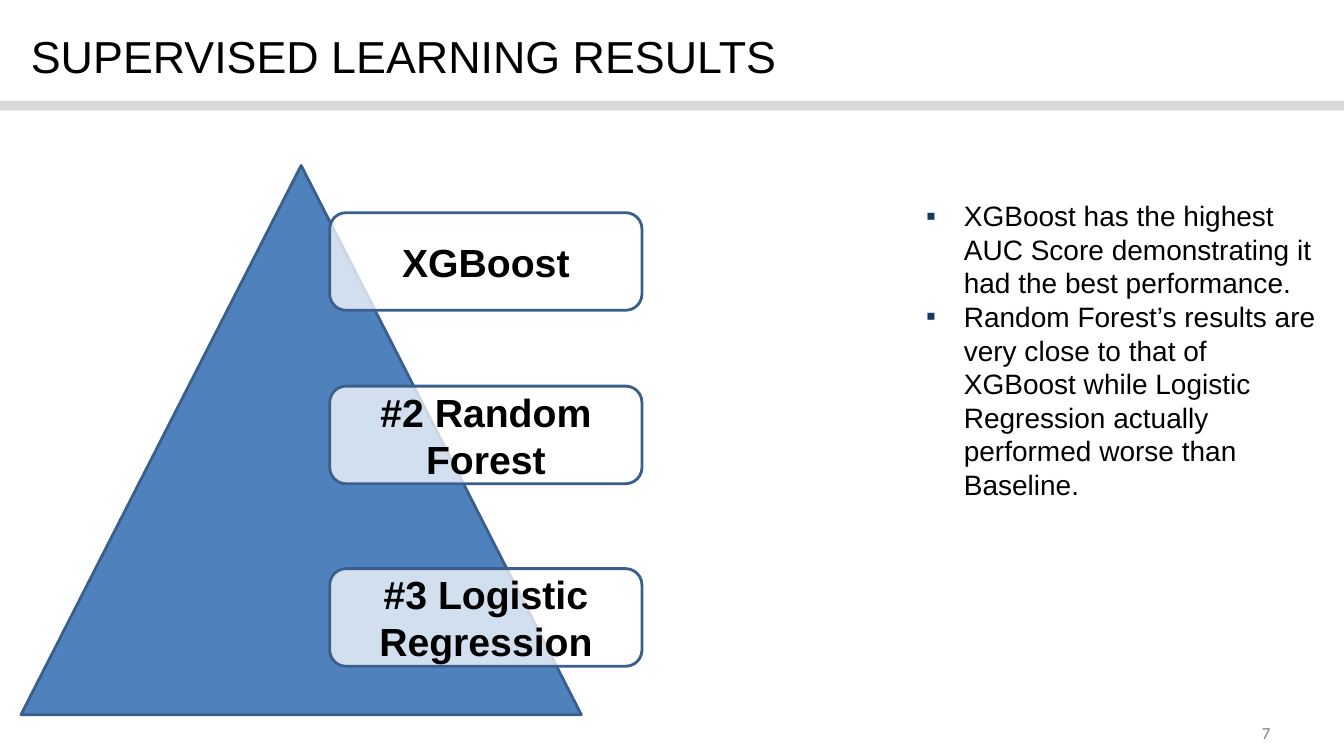
from lxml import etree
from pptx import Presentation
from pptx.dml.color import RGBColor
from pptx.enum.shapes import MSO_SHAPE
from pptx.enum.text import MSO_ANCHOR, PP_ALIGN
from pptx.oxml.ns import qn
from pptx.util import Cm, Pt

TRIANGLE = MSO_SHAPE.ISOSCELES_TRIANGLE
ROUNDED = MSO_SHAPE.ROUNDED_RECTANGLE
RECTANGLE = MSO_SHAPE.RECTANGLE
MIDDLE = MSO_ANCHOR.MIDDLE
CENTER = PP_ALIGN.CENTER

BLACK = RGBColor(0x00, 0x00, 0x00)
WHITE = RGBColor(0xFF, 0xFF, 0xFF)
BLUE = RGBColor(0x4F, 0x81, 0xBD)
EDGE_BLUE = RGBColor(0x3A, 0x5F, 0x8C)
BULLET_NAVY = RGBColor(0x17, 0x37, 0x5E)
RULE_GRAY = RGBColor(0xD9, 0xD9, 0xD9)
NUMBER_GRAY = RGBColor(0x7E, 0x7E, 0x7E)


class SlideBuilder:
    """Draws elements on one slide; all lengths are in centimetres."""

    font_name = "Arial"
    edge_width = Pt(2)

    def __init__(self, slide):
        self.slide = slide

    def style(self, paragraph, size, color=BLACK, bold=False, name=font_name):
        font = paragraph.font
        font.name, font.size, font.bold = name, Pt(size), bold
        font.color.rgb = color

    def shape(self, kind, left, top, width, height, fill, edge=None):
        shape = self.slide.shapes.add_shape(
            kind, Cm(left), Cm(top), Cm(width), Cm(height))
        shape.shadow.inherit = False
        shape.fill.solid()
        shape.fill.fore_color.rgb = fill
        if edge is None:
            shape.line.fill.background()
        else:
            shape.line.color.rgb = edge
            shape.line.width = self.edge_width
        return shape

    def rank_box(self, left, top, width, height, text):
        shape = self.shape(ROUNDED, left, top, width, height, WHITE, EDGE_BLUE)
        color = shape.fill._xPr.find(qn("a:solidFill"))[0]
        etree.SubElement(color, qn("a:alpha"), val="75000")
        frame = shape.text_frame
        frame.word_wrap = True
        frame.vertical_anchor = MIDDLE
        paragraph = frame.paragraphs[0]
        paragraph.text = text
        paragraph.alignment = CENTER
        self.style(paragraph, 28, bold=True)

    def text_frame(self, left, top, width, height):
        box = self.slide.shapes.add_textbox(
            Cm(left), Cm(top), Cm(width), Cm(height))
        box.text_frame.word_wrap = True
        return box.text_frame

    def title(self, left, top, width, height, text):
        frame = self.text_frame(left, top, width, height)
        frame.text = text
        self.style(frame.paragraphs[0], 32)

    def page_number(self, left, top, width, height, text):
        frame = self.text_frame(left, top, width, height)
        frame.margin_left = frame.margin_right = 0
        frame.margin_top = frame.margin_bottom = 0
        paragraph = frame.paragraphs[0]
        paragraph.text = text
        paragraph.line_spacing = 1.03
        self.style(paragraph, 12, NUMBER_GRAY, name="Calibri")

    def bullets(self, left, top, width, height, items):
        frame = self.text_frame(left, top, width, height)
        frame.text = "\n".join(items)
        indent = Cm(0.95)
        for paragraph in frame.paragraphs:
            properties = paragraph._p.get_or_add_pPr()
            properties.set("marL", str(indent))
            properties.set("indent", str(-indent))
            color = etree.SubElement(properties, qn("a:buClr"))
            etree.SubElement(color, qn("a:srgbClr"), val=str(BULLET_NAVY))
            etree.SubElement(properties, qn("a:buFont"), typeface=self.font_name)
            etree.SubElement(properties, qn("a:buChar"), char="▪")
            self.style(paragraph, 20)


def main():
    presentation = Presentation()
    presentation.slide_width = Cm(33.87)
    presentation.slide_height = Cm(19.05)
    slide = presentation.slides.add_slide(presentation.slide_layouts[6])
    builder = SlideBuilder(slide)

    # Header and page number
    builder.shape(RECTANGLE, 0, 2.54, 33.87, 0.25, RULE_GRAY)
    builder.page_number(31.8, 18.19, 0.5, 0.48, "7")
    builder.title(0.53, 0.61, 31.04, 1.12, "SUPERVISED LEARNING RESULTS")

    # Ranking pyramid
    builder.shape(TRIANGLE, 0.53, 4.17, 14.12, 13.84, BLUE, EDGE_BLUE)
    ranking = [
        (5.36, "XGBoost"),
        (9.73, "#2 Random Forest"),
        (14.33, "#3 Logistic Regression"),
    ]
    for top, label in ranking:
        builder.rank_box(8.31, top, 7.87, 2.46, label)

    # Findings
    builder.bullets(23.09, 4.88, 10.54, 7.95, [
        "XGBoost has the highest AUC Score demonstrating it had the best "
        "performance.",
        "Random Forest’s results are very close to that of XGBoost while "
        "Logistic Regression actually performed worse than Baseline.",
    ])

    presentation.save("out.pptx")


if __name__ == "__main__":
    main()
